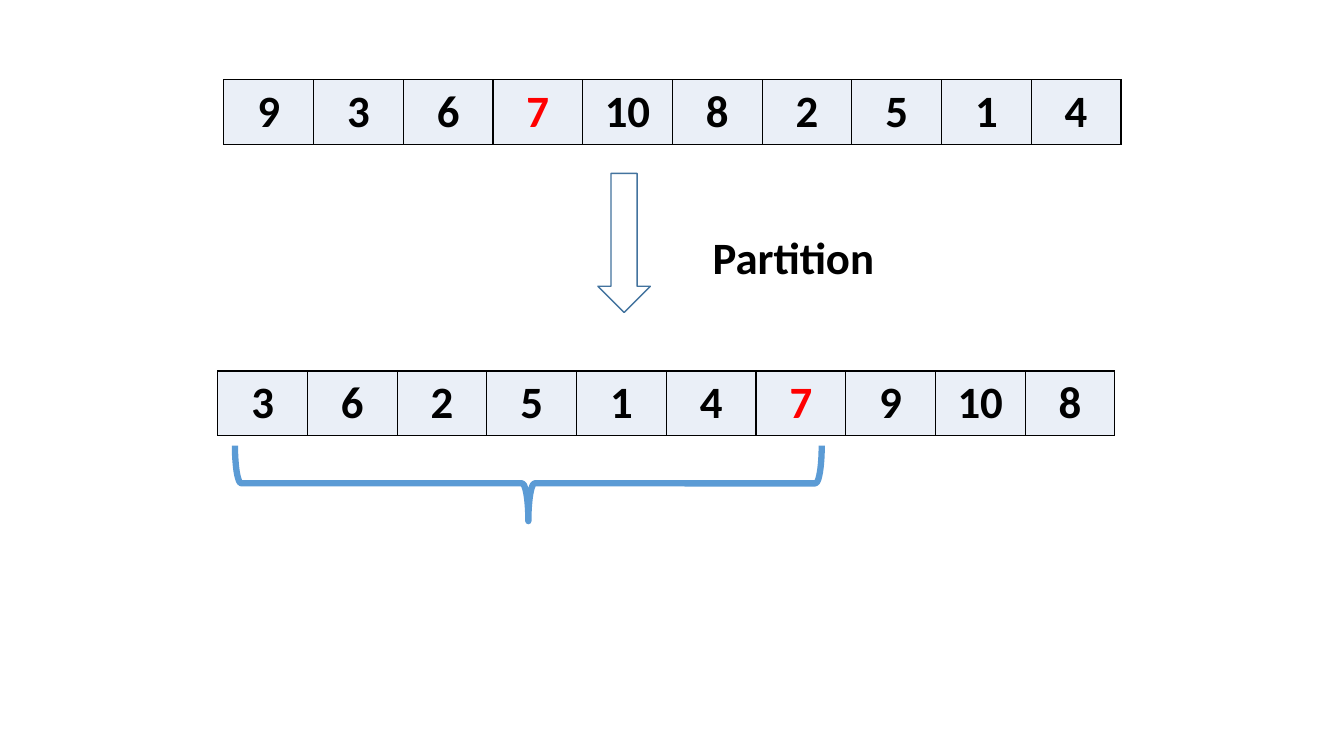
from lxml import etree
from pptx import Presentation
from pptx.dml.color import RGBColor
from pptx.enum.shapes import MSO_SHAPE as SHAPE
from pptx.enum.text import MSO_ANCHOR as ANCHOR, PP_ALIGN as ALIGN
from pptx.oxml.ns import qn
from pptx.util import Inches, Pt

PIVOT = "7"
CELL_W, CELL_H = 0.89, 0.63
BLACK, RED, PALE, BLUE, DARK_BLUE = "000000", "FF0000", "EAEFF7", "5B9BD5", "43739E"


def rgb(value):
    """Turn a hex string into a colour."""
    return RGBColor.from_string(value)


def style_text(tf, color=BLACK):
    """Centre the text and set it in bold 32 point Calibri."""
    p = tf.paragraphs[0]
    p.alignment = ALIGN.CENTER
    font = p.runs[0].font
    font.name, font.size, font.bold = "Calibri", Pt(32), True
    font.color.rgb = rgb(color)


def add_borders(cell):
    """Draw a thin black line on each side of a cell, ahead of its fill."""
    tc_pr = cell._tc.get_or_add_tcPr()
    for i, side in enumerate(("lnL", "lnR", "lnT", "lnB")):
        ln = etree.Element(qn(f"a:{side}"), w=str(Pt(1)))
        fill = etree.SubElement(ln, qn("a:solidFill"))
        etree.SubElement(fill, qn("a:srgbClr"), val=BLACK)
        tc_pr.insert(i, ln)


def add_array(s, left, top, values):
    """Place an array as a one-row table, with the pivot in red."""
    n = len(values)
    table = s.shapes.add_table(1, n, Inches(left), Inches(top),
                               Inches(n * CELL_W), Inches(CELL_H)).table
    for column, cell, value in zip(table.columns, table.rows[0].cells, values):
        column.width = Inches(CELL_W)
        cell.text = value
        cell.vertical_anchor = ANCHOR.MIDDLE
        style_text(cell.text_frame, RED if value == PIVOT else BLACK)
        cell.fill.solid()
        cell.fill.fore_color.rgb = rgb(PALE)
        add_borders(cell)


def add_outline(s, kind, box, color, width):
    """Place an unfilled preset shape in the box."""
    sp = s.shapes.add_shape(kind, *map(Inches, box))
    sp.shadow.inherit = False
    sp.fill.background()
    sp.line.color.rgb = rgb(color)
    sp.line.width = Pt(width)
    return sp


def add_step(s, left, top, label):
    """Place a down arrow with the step's name to its right."""
    add_outline(s, SHAPE.DOWN_ARROW, (left, top, 0.52, 1.38), DARK_BLUE, 1)
    tb = s.shapes.add_textbox(Inches(left + 0.94), Inches(top + 0.51),
                              Inches(2), Inches(0.64))
    tf = tb.text_frame
    tf.word_wrap = True
    tf.text = label
    style_text(tf)


def add_brace(s, left, top, width, height):
    """Place a brace opening upwards; the turned shape swaps its sides."""
    shift = (width - height) / 2
    box = (left + shift, top - shift, height, width)
    add_outline(s, SHAPE.RIGHT_BRACE, box, BLUE, 4.5).rotation = 90


def partition_slide(prs):
    """Show an array before and after partitioning around the pivot."""
    s = prs.slides.add_slide(prs.slide_layouts[6])
    add_array(s, 2.22, 0.79, "9 3 6 7 10 8 2 5 1 4".split())
    add_array(s, 2.16, 3.68, "3 6 2 5 1 4 7 9 10 8".split())
    add_step(s, 5.93, 1.72, "Partition")
    add_brace(s, 2.33, 4.42, 5.82, 0.75)


prs = Presentation()
prs.slide_width, prs.slide_height = Inches(13.33), Inches(7.5)
partition_slide(prs)
prs.save("out.pptx")
